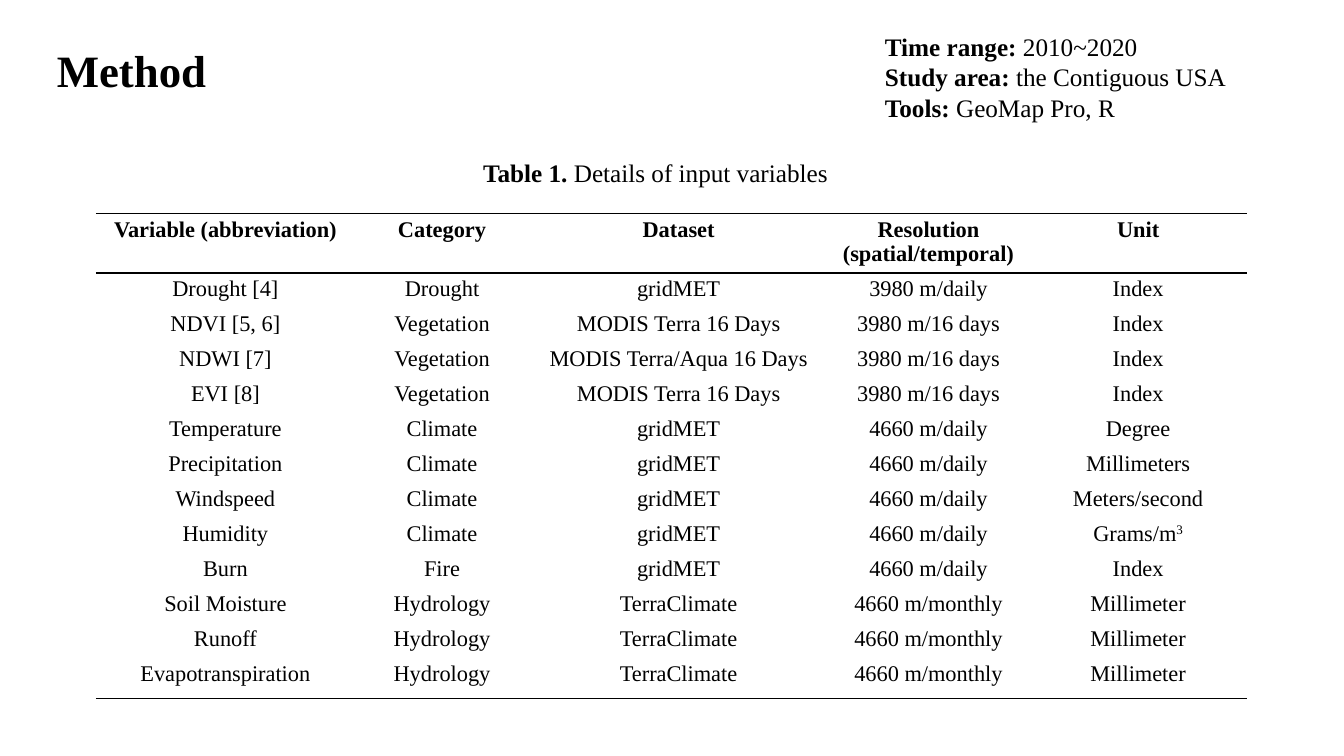
"""Build the Method slide with its table of input variables."""
import pptx
import pptx.dml.color
import pptx.enum.text
import pptx.oxml
import pptx.oxml.ns
import pptx.util
from pptx.util import Pt

TITLE = [[("Method", True)]]
FACTS = [
    [("Time range: ", True), ("2010~2020", False)],
    [("Study area: ", True), ("the Contiguous USA", False)],
    [("Tools: ", True), ("GeoMap Pro, R", False)],
]
CAPTION = [[("Table 1. ", True), ("Details of input variables", False)]]
HEADER = ("Variable (abbreviation)", "Category", "Dataset",
          "Resolution\n(spatial/temporal)", "Unit")
VARIABLES = [
    ("Drought [4]", "Drought", "gridMET", "3980 m/daily", "Index"),
    ("NDVI [5, 6]", "Vegetation", "MODIS Terra 16 Days", "3980 m/16 days", "Index"),
    ("NDWI [7]", "Vegetation", "MODIS Terra/Aqua 16 Days", "3980 m/16 days", "Index"),
    ("EVI [8]", "Vegetation", "MODIS Terra 16 Days", "3980 m/16 days", "Index"),
    ("Temperature", "Climate", "gridMET", "4660 m/daily", "Degree"),
    ("Precipitation", "Climate", "gridMET", "4660 m/daily", "Millimeters"),
    ("Windspeed", "Climate", "gridMET", "4660 m/daily", "Meters/second"),
    ("Humidity", "Climate", "gridMET", "4660 m/daily", "Grams/m^3"),
    ("Burn", "Fire", "gridMET", "4660 m/daily", "Index"),
    ("Soil Moisture", "Hydrology", "TerraClimate", "4660 m/monthly", "Millimeter"),
    ("Runoff", "Hydrology", "TerraClimate", "4660 m/monthly", "Millimeter"),
    ("Evapotranspiration", "Hydrology", "TerraClimate", "4660 m/monthly", "Millimeter"),
]
THEME = {"font": "Times New Roman", "ink": "000000", "paper": "FFFFFF",
         "title": 32, "text": 18, "table": 16, "rule": 1}
COLUMN_WIDTHS = (185, 124.5, 213.5, 143.5, 156)
ROW_HEIGHTS = [42.5] + [25] * (len(VARIABLES) - 1) + [29]
TABLE_LEFT, TABLE_TOP = 68.5, 152.5


def color(name):
    return pptx.dml.color.RGBColor.from_string(THEME[name])


def style(para, size):
    para.font.name = THEME["font"]
    para.font.size = Pt(THEME[size])
    para.font.color.rgb = color("ink")


def add_text(slide, place, paragraphs, size, spacing=1.0, middle=False):
    box = slide.shapes.add_textbox(*map(Pt, place))
    frame = box.text_frame
    frame.word_wrap = True
    if middle:
        frame.vertical_anchor = pptx.enum.text.MSO_ANCHOR.MIDDLE
    for index, spans in enumerate(paragraphs):
        para = frame.add_paragraph() if index else frame.paragraphs[0]
        para.line_spacing = spacing
        style(para, size)
        for text, bold in spans:
            span = para.add_run()
            span.text = text
            span.font.bold = bold


def add_rule(cell, side):
    cell._tc.get_or_add_tcPr().append(pptx.oxml.parse_xml(
        f'<a:{side} {pptx.oxml.ns.nsdecls("a")} w="{Pt(THEME["rule"])}">'
        f'<a:solidFill><a:srgbClr val="{THEME["ink"]}"/></a:solidFill></a:{side}>'))


def fill_cell(cell, text, sides, bold):
    for side in sides:
        add_rule(cell, side)
    cell.fill.solid()
    cell.fill.fore_color.rgb = color("paper")
    frame = cell.text_frame
    for index, line in enumerate(text.split("\n")):
        para = frame.add_paragraph() if index else frame.paragraphs[0]
        para.alignment = pptx.enum.text.PP_ALIGN.CENTER
        para.line_spacing = 0.95
        style(para, "table")
        para.font.bold = bold
        base, _, power = line.partition("^")
        para.add_run().text = base
        if power:
            span = para.add_run()
            span.text = power
            span._r.get_or_add_rPr().set("baseline", "30000")


def add_variables(slide):
    rows = [HEADER] + VARIABLES
    frame = slide.shapes.add_table(
        len(rows), len(HEADER), Pt(TABLE_LEFT), Pt(TABLE_TOP),
        Pt(sum(COLUMN_WIDTHS)), Pt(sum(ROW_HEIGHTS)))
    table = frame.table
    table.horz_banding = False
    table.first_row = False
    style_id = table._tbl.tblPr.find(pptx.oxml.ns.qn("a:tableStyleId"))
    style_id.text = "{2D5ABB26-0587-4C30-8999-92F81FD0307C}"
    for column, width in zip(table.columns, COLUMN_WIDTHS):
        column.width = Pt(width)
    rules = {0: ("lnT", "lnB"), len(rows) - 1: ("lnB",)}
    for r, (row, height) in enumerate(zip(rows, ROW_HEIGHTS)):
        table.rows[r].height = Pt(height)
        for c, text in enumerate(row):
            fill_cell(table.cell(r, c), text, rules.get(r, ()), r == 0)


def main():
    deck = pptx.Presentation()
    deck.slide_width, deck.slide_height = Pt(960), Pt(540)
    slide = deck.slides.add_slide(deck.slide_layouts[6])
    add_variables(slide)
    add_text(slide, (625, 19, 335, 94), FACTS, "text")
    add_text(slide, (33.5, 0, 400, 104.5), TITLE, "title", 0.9, True)
    add_text(slide, (338, 109, 263, 29), CAPTION, "text")
    deck.save("out.pptx")


if __name__ == "__main__":
    main()
